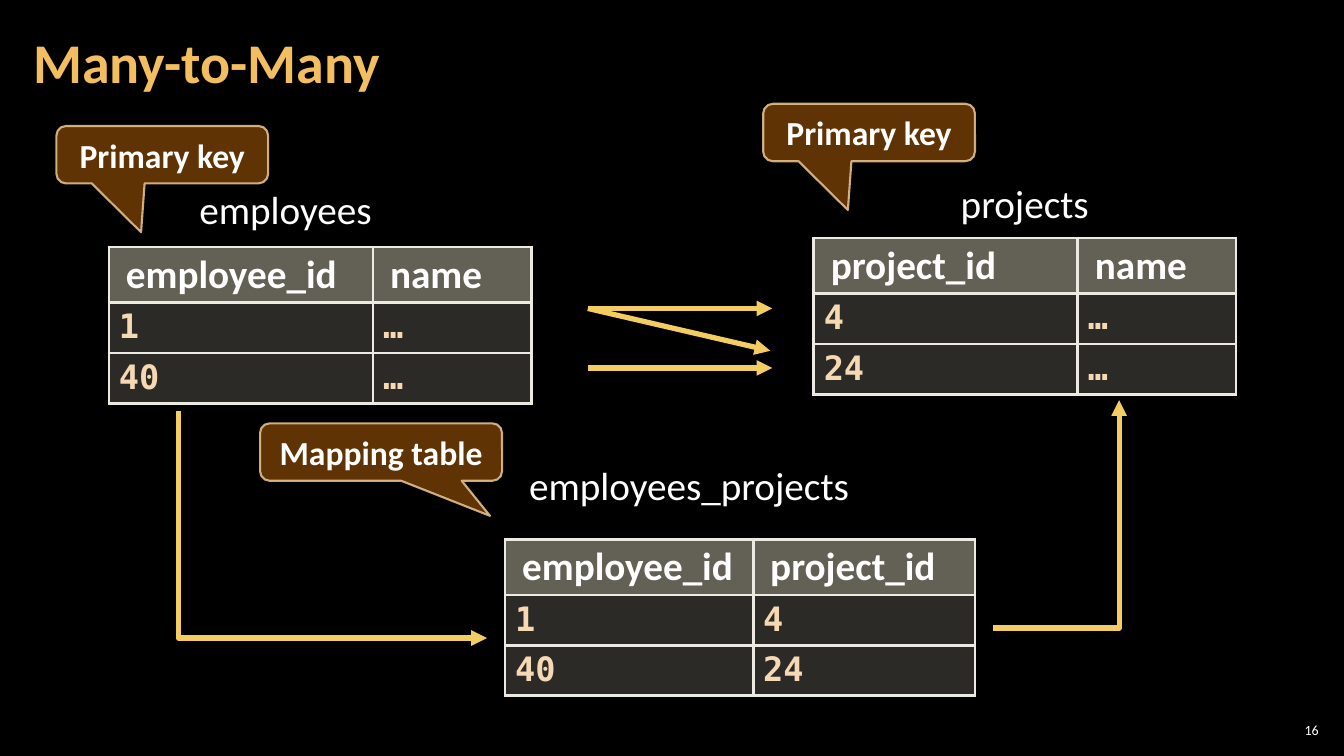
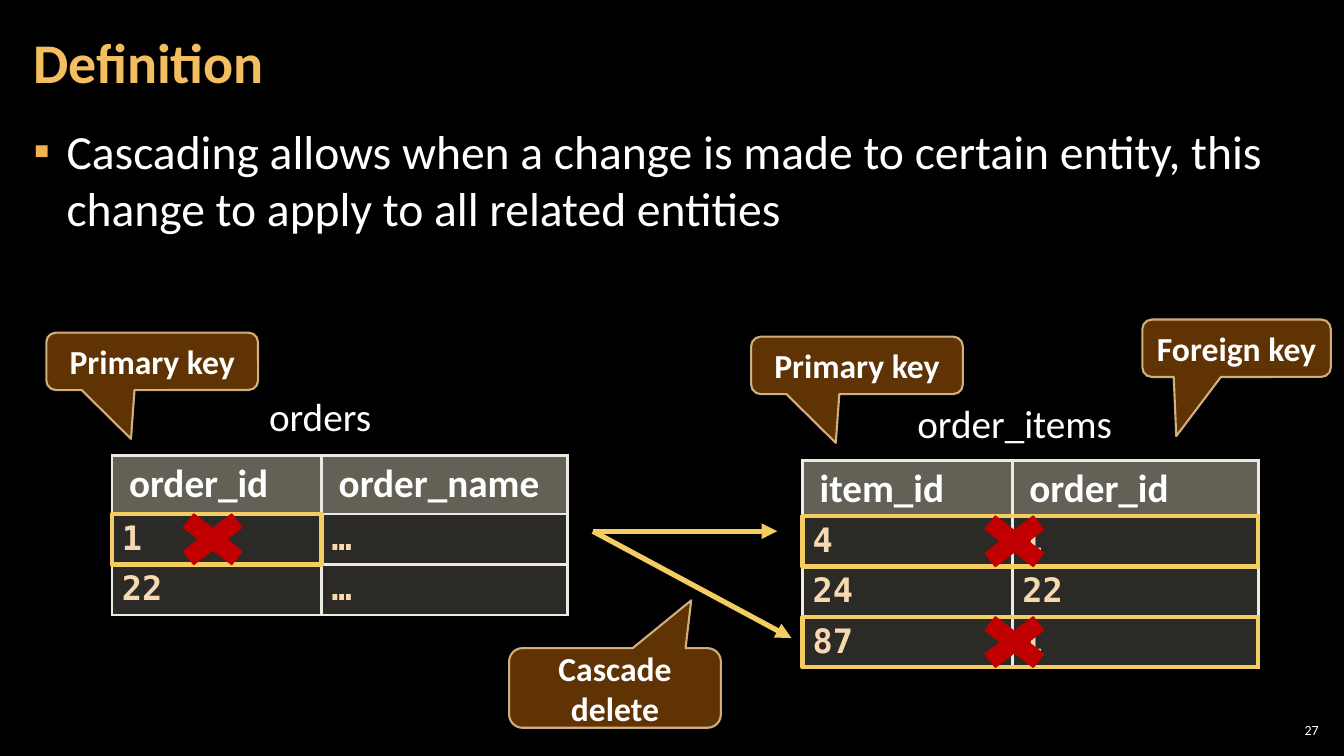
from lxml import etree
from pptx import Presentation
from pptx.dml.color import RGBColor
from pptx.enum import shapes, text
from pptx.oxml.ns import qn
from pptx.util import Inches, Pt

SANS, MONO = "Calibri", "DejaVu Sans Mono"
WHITE, GOLD, ARROW = "FFFFFF", "F3BE60", "F3CD61"
BROWN, TAN, RED = "663606", "F8D49E", "C00000"
HEAD_FILL, BODY_FILL, BORDER, DATA = "C6C0AA", "D9D5C7", "ECEAE3", "F6D9B2"
DATA_ROW = 0.5
CROSS = (0.92, 0.71)
DOWN_LEFT = (-0.1, 1.35)

# labels: text, left, top, width
# callouts: text, box, pointer
# arrows: start, end, route (straight, across first or down first)
# tables: left, top, header height, column widths, rows
# deletions: table index, row, columns covered, centre of the cross
SLIDES = [
    {
        "title": "Many-to-Many",
        "number": "16",
        "labels": [("employees", 1.88, 1.79, 1.93), ("projects", 9.43, 1.73, 1.49),
                   ("employees_projects", 5.15, 4.53, 3.41)],
        "callouts": [
            ("Primary key", (0.56, 1.25, 2.1, 0.57), DOWN_LEFT),
            ("Primary key", (7.57, 1.03, 2.1, 0.57), DOWN_LEFT),
            ("Mapping table", (2.58, 4.2, 2.4, 0.57), (0.45, 1.11)),
        ],
        "arrows": [
            ((5.83, 3.06), (7.66, 3.06), "straight"),
            ((5.83, 3.65), (7.66, 3.65), "straight"),
            ((5.83, 3.06), (7.64, 3.48), "straight"),
            ((1.77, 4.08), (4.83, 6.33), "down"),
            ((9.85, 6.23), (11.1, 3.97), "across"),
        ],
        "tables": [
            (1.08, 2.45, 0.55, (2.62, 1.57),
             [("employee_id", "name"), ("1", "…"), ("40", "…")]),
            (5.01, 5.35, 0.55, (2.46, 2.2),
             [("employee_id", "project_id"), ("1", "4"), ("40", "24")]),
            (8.07, 2.36, 0.55, (2.62, 1.57),
             [("project_id", "name"), ("4", "…"), ("24", "…")]),
        ],
        "deletions": [],
    },
    {
        "title": "Definition",
        "number": "27",
        "bullet": "Cascading allows when a change is made to certain entity, "
                  "this change to apply to all related entities",
        "labels": [("orders", 2.57, 3.84, 1.23), ("order_items", 9, 3.91, 2.22)],
        "callouts": [
            ("Primary key", (0.46, 3.3, 2.1, 0.57), DOWN_LEFT),
            ("Primary key", (7.45, 3.34, 2.1, 0.57), DOWN_LEFT),
            ("Foreign key", (11.33, 3.17, 1.87, 0.57), (-0.32, 1.53)),
            ("Cascade delete", (5.05, 6.43, 2.1, 0.79), (0.36, -1.1)),
        ],
        "arrows": [
            ((5.88, 5.27), (7.71, 5.27), "straight"),
            ((5.88, 5.27), (7.85, 6.33), "straight"),
        ],
        "tables": [
            (1.11, 4.52, 0.58, (2.08, 2.44),
             [("order_id", "order_name"), ("1", "…"), ("22", "…")]),
            (7.96, 4.57, 0.55, (2.08, 2.44),
             [("item_id", "order_id"), ("4", "1"), ("24", "22"), ("87", "1")]),
        ],
        "deletions": [(0, 1, 1, 2.11), (1, 1, 2, 10.06), (1, 3, 2, 10.06)],
    },
]


def rgb(value):
    return RGBColor.from_string(value)


def inches(values):
    return [Inches(value) for value in values]


def set_alpha(parent, percent):
    """Make the first colour below parent partly transparent."""
    colour = next(parent.iter(qn("a:srgbClr")))
    etree.SubElement(colour, qn("a:alpha"), val=str(percent * 1000))


def write(frame, words, size=28, color=WHITE, font=SANS, bold=False, align="LEFT",
          anchor="TOP", insets=(0.1, 0.05), wrap=True, spacing=1.0, bullet=None):
    frame.word_wrap = wrap
    frame.auto_size = text.MSO_AUTO_SIZE.NONE
    frame.vertical_anchor = getattr(text.MSO_ANCHOR, anchor)
    frame.margin_left = frame.margin_right = Inches(insets[0])
    frame.margin_top = frame.margin_bottom = Inches(insets[1])
    paragraph = frame.paragraphs[0]
    if bullet:
        add_bullet(paragraph, *bullet)
    write_paragraph(paragraph, words, size, color, font, bold, align, spacing)


def write_paragraph(paragraph, words, size, color, font, bold, align, spacing):
    paragraph.alignment = getattr(text.PP_ALIGN, align)
    paragraph.line_spacing = spacing
    paragraph.space_before = Pt(0)
    run = paragraph.add_run()
    run.text = words
    run.font.size, run.font.name, run.font.bold = Pt(size), font, bold
    run.font.color.rgb = rgb(color)


def add_bullet(paragraph, symbol, color, indent):
    props = paragraph._p.get_or_add_pPr()
    props.set("marL", str(Inches(indent)))
    props.set("indent", str(-Inches(indent)))
    tint = etree.SubElement(props, qn("a:buClr"))
    etree.SubElement(tint, qn("a:srgbClr"), val=color)
    etree.SubElement(props, qn("a:buChar"), char=symbol)


def place(placeholder, box):
    (placeholder.left, placeholder.top,
     placeholder.width, placeholder.height) = inches(box)
    return placeholder.text_frame


def add_shape(slide, kind, box, fill, line, width):
    shape = slide.shapes.add_shape(kind, *inches(box))
    shape.shadow.inherit = False
    if fill:
        shape.fill.solid()
        shape.fill.fore_color.rgb = rgb(fill)
    else:
        shape.fill.background()
    shape.line.color.rgb = rgb(line)
    shape.line.width = Pt(width)
    return shape


def add_callout(slide, words, box, pointer):
    callout = add_shape(slide, shapes.MSO_SHAPE.ROUNDED_RECTANGULAR_CALLOUT, box,
                        BROWN, TAN, 1.5)
    callout.adjustments[0], callout.adjustments[1] = pointer
    props = callout.element.spPr
    set_alpha(props.find(qn("a:solidFill")), 95)
    set_alpha(props.find(qn("a:ln")), 80)
    write(callout.text_frame, words, size=24, bold=True, align="CENTER",
          anchor="MIDDLE")


def add_arrow(slide, start, end, route):
    """Draw an arrow; a down-first elbow is an across-first one turned by 270 degrees."""
    if route == "down":
        mid_x, mid_y = (start[0] + end[0]) / 2, (start[1] + end[1]) / 2
        half_w, half_h = (end[0] - start[0]) / 2, (end[1] - start[1]) / 2
        start = mid_x + half_h, mid_y - half_w
        end = mid_x - half_h, mid_y + half_w
    kind = shapes.MSO_CONNECTOR.STRAIGHT if route == "straight" else shapes.MSO_CONNECTOR.ELBOW
    arrow = slide.shapes.add_connector(kind, *inches(start + end))
    arrow.line.color.rgb = rgb(ARROW)
    arrow.line.width = Pt(3.75)
    props = arrow.element.spPr
    if route != "straight":
        props.find(qn("a:prstGeom")).set("prst", "bentConnector2")
    if route == "down":
        props.find(qn("a:xfrm")).set("rot", str(270 * 60000))
    etree.SubElement(props.find(qn("a:ln")), qn("a:tailEnd"), type="triangle")
    etree.SubElement(props, qn("a:effectLst"))


def format_cell(cell, words, header):
    cell.fill.solid()
    cell.fill.fore_color.rgb = rgb(HEAD_FILL if header else BODY_FILL)
    props = cell._tc.tcPr
    set_alpha(props, 50 if header else 20)
    for index, side in enumerate("LRTB"):
        edge = etree.Element(qn("a:ln" + side), w=str(Pt(2.25)))
        paint = etree.SubElement(edge, qn("a:solidFill"))
        etree.SubElement(paint, qn("a:srgbClr"), val=BORDER)
        props.insert(index, edge)
    cell.margin_left = cell.margin_right = Inches(0.17 if header else 0.1)
    cell.margin_top = cell.margin_bottom = Inches(0.05)
    look = (28, WHITE, SANS) if header else (24, DATA, MONO)
    write_paragraph(cell.text_frame.paragraphs[0], words, *look, True, "LEFT",
                    0.95 if header else 1.0)


def add_table(slide, left, top, head, widths, rows):
    height = head + DATA_ROW * (len(rows) - 1)
    table = slide.shapes.add_table(len(rows), len(widths), *inches(
        (left, top, sum(widths), height))).table
    table.first_row = table.horz_banding = False
    for column, width in zip(table.columns, widths):
        column.width = Inches(width)
    for r, row in enumerate(rows):
        table.rows[r].height = Inches(DATA_ROW if r else head)
        for c, words in enumerate(row):
            format_cell(table.cell(r, c), words, header=r == 0)


def add_deletion(slide, table, row, columns, cross_x):
    """Frame the first columns of a table row and cross it out."""
    left, top, head, widths, _ = table
    y = top + head + (row - 1) * DATA_ROW
    add_shape(slide, shapes.MSO_SHAPE.RECTANGLE,
              (left, y, sum(widths[:columns]), DATA_ROW), None, ARROW, 3)
    cross = (cross_x - CROSS[0] / 2, y + (DATA_ROW - CROSS[1]) / 2, *CROSS)
    add_shape(slide, shapes.MSO_SHAPE.MATH_MULTIPLY, cross, RED, RED, 1)


def add_text(slide, words, box, **style):
    write(slide.shapes.add_textbox(*inches(box)).text_frame, words, **style)


def build_slide(prs, content):
    bullet = content.get("bullet")
    slide = prs.slides.add_slide(prs.slide_layouts[1 if bullet else 5])
    write(place(slide.shapes.title, (0.21, 0.04, 10.47, 1.21)), content["title"],
          size=40, color=GOLD, bold=True, anchor="MIDDLE", insets=(0.12, 0.04),
          spacing=0.9)
    if bullet:
        write(place(slide.placeholders[1], (0.21, 1.17, 12.91, 6.09)), bullet,
              size=34, insets=(0.12, 0.04), bullet=("▪", "F2B254", 0.33))
    add_text(slide, content["number"], (12.65, 7.14, 0.47, 0.21), size=10,
             align="RIGHT", anchor="MIDDLE", insets=(0.04, 0.04))
    for words, left, top, width in content["labels"]:
        add_text(slide, words, (left, top, width, 0.57), wrap=False)
    for arrow in content["arrows"]:
        add_arrow(slide, *arrow)
    for callout in content["callouts"]:
        add_callout(slide, *callout)
    for table in content["tables"]:
        add_table(slide, *table)
    for index, *deletion in content["deletions"]:
        add_deletion(slide, content["tables"][index], *deletion)


def main():
    prs = Presentation()
    prs.slide_width, prs.slide_height = inches((13.33, 7.5))
    backdrop = prs.slide_master.background.fill
    backdrop.solid()
    backdrop.fore_color.rgb = rgb("000000")
    for content in SLIDES:
        build_slide(prs, content)
    prs.save("out.pptx")


if __name__ == "__main__":
    main()
